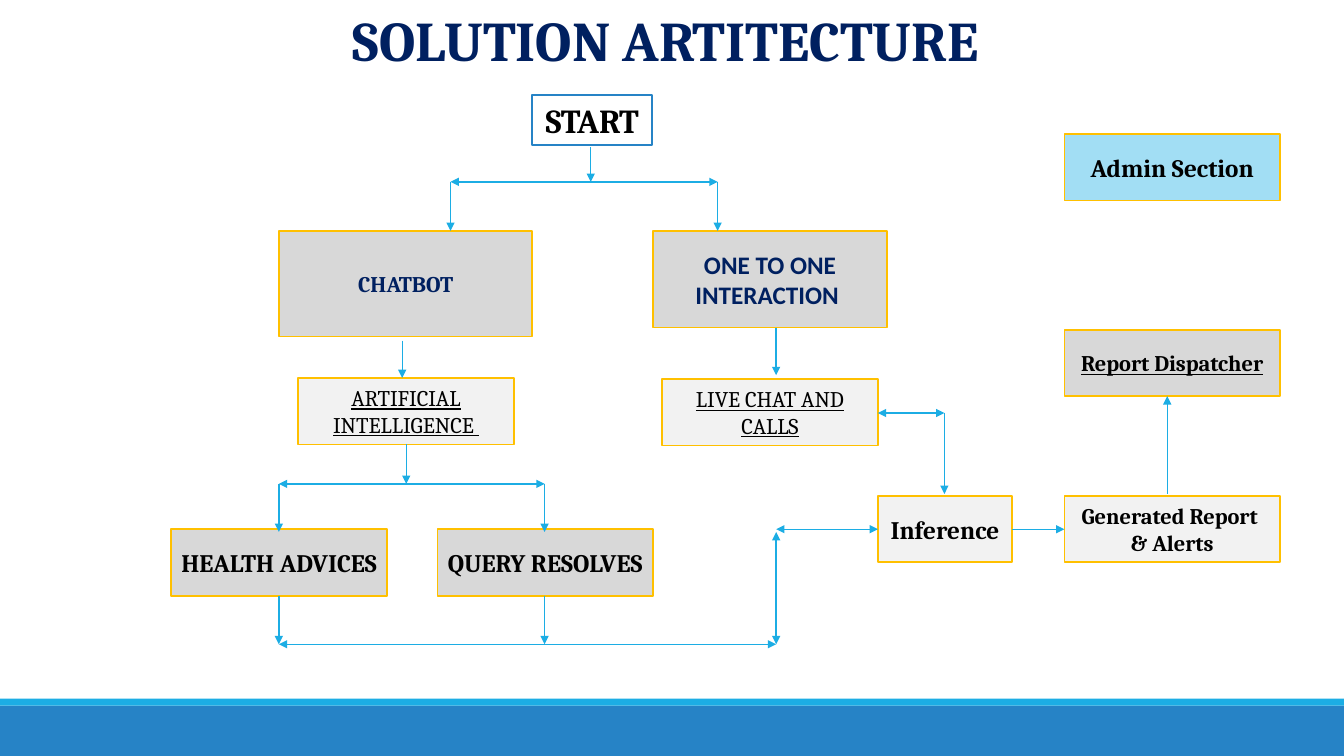
from dataclasses import dataclass

from lxml import etree
from pptx import Presentation
from pptx.dml.color import RGBColor
from pptx.enum.shapes import MSO_CONNECTOR, MSO_SHAPE
from pptx.enum.text import MSO_ANCHOR, MSO_AUTO_SIZE, PP_ALIGN
from pptx.oxml.ns import qn
from pptx.slide import Slide
from pptx.text.text import TextFrame
from pptx.util import Pt

RECTANGLE = MSO_SHAPE.RECTANGLE
STRAIGHT = MSO_CONNECTOR.STRAIGHT
CENTER = PP_ALIGN.CENTER
MIDDLE, TOP = MSO_ANCHOR.MIDDLE, MSO_ANCHOR.TOP
NO_AUTOFIT = MSO_AUTO_SIZE.NONE


@dataclass(frozen=True)
class Theme:
    navy: str = "002060"
    black: str = "000000"
    white: str = "FFFFFF"
    blue: str = "2683C6"
    cyan: str = "1CADE4"
    pale_cyan: str = "A2DEF4"
    gold: str = "FFC000"
    gray: str = "D8D8D8"
    light_gray: str = "F2F2F2"
    serif: str = "Cambria"
    sans: str = "Calibri"
    title_size: float = 40
    start_size: float = 24
    large_size: float = 18
    small_size: float = 16
    border_width: float = 1.25
    arrow_width: float = 1


THEME = Theme()


@dataclass(frozen=True)
class TextStyle:
    size: float
    color: str = THEME.black
    font: str = THEME.serif
    bold: bool = True
    underline: bool = False


@dataclass(frozen=True)
class Step:
    text: str
    left: float
    top: float
    fill: str
    style: TextStyle
    width: float = 154
    height: float = 47.5
    border: str = THEME.gold


@dataclass(frozen=True)
class Arrow:
    x1: float
    y1: float
    x2: float
    y2: float
    both_ends: bool = False


# Text styles
TITLE = TextStyle(THEME.title_size, THEME.navy)
START = TextStyle(THEME.start_size)
LARGE = TextStyle(THEME.large_size)
SMALL = TextStyle(THEME.small_size)
CHATBOT = TextStyle(THEME.small_size, THEME.navy)
ONE_TO_ONE = TextStyle(THEME.large_size, THEME.navy, THEME.sans)
CHANNEL = TextStyle(THEME.small_size, bold=False, underline=True)
DISPATCHER = TextStyle(THEME.small_size, underline=True)

# Shared positions
SLIDE_WIDTH, SLIDE_HEIGHT = 960, 540
REPORT_LEFT = 760.3
BRANCH_TOP = 165
OUTCOME_TOP = 378
INFERENCE_TOP = 354.2
CHATBOT_X, ONE_TO_ONE_X = 321.8, 512.6
HEALTH_X, QUERY_X = 199.2, 389
LIVE_X = 554.4
INFERENCE_X = 674.6
SPLIT_Y, AI_SPLIT_Y, MERGE_Y = 129.9, 345.6, 460.2

STEPS = [
    Step("START", 380.2, 67.7, THEME.white, START, 85.7, 36, THEME.blue),
    Step("CHATBOT", 199.4, BRANCH_TOP, THEME.gray, CHATBOT, 180.9, 75.4),
    Step("ONE TO ONE INTERACTION ", 466.5, BRANCH_TOP, THEME.gray, ONE_TO_ONE, 167, 69),
    Step("ARTIFICIAL INTELLIGENCE ", 213, 270, THEME.light_gray, CHANNEL),
    Step("LIVE CHAT AND CALLS", 473, 270.8, THEME.light_gray, CHANNEL),
    Step("HEALTH ADVICES", 122.4, OUTCOME_TOP, THEME.gray, LARGE),
    Step("QUERY RESOLVES", 312.5, OUTCOME_TOP, THEME.gray, LARGE),
    Step("Inference", 627.1, INFERENCE_TOP, THEME.light_gray, LARGE, 95.8),
    Step("Generated Report \n& Alerts", REPORT_LEFT, INFERENCE_TOP, THEME.light_gray, SMALL),
    Step("Report Dispatcher", REPORT_LEFT, 235.5, THEME.gray, DISPATCHER),
    Step("Admin Section", REPORT_LEFT, 95.8, THEME.pale_cyan, LARGE),
]

ARROWS = [
    # Start to the two branches
    Arrow(422, 105.1, 422, SPLIT_Y),
    Arrow(CHATBOT_X, SPLIT_Y, ONE_TO_ONE_X, SPLIT_Y, True),
    *[Arrow(x, SPLIT_Y, x, BRANCH_TOP) for x in (CHATBOT_X, ONE_TO_ONE_X)],
    # Chatbot to its outcomes
    Arrow(287.3, 243.4, 287.3, 270),
    Arrow(290.2, 317.5, 290.2, AI_SPLIT_Y),
    Arrow(HEALTH_X, AI_SPLIT_Y, QUERY_X, AI_SPLIT_Y, True),
    *[Arrow(x, AI_SPLIT_Y, x, 380) for x in (HEALTH_X, QUERY_X)],
    # Outcomes to inference
    *[Arrow(x, 426, x, MERGE_Y) for x in (HEALTH_X, QUERY_X)],
    Arrow(HEALTH_X, MERGE_Y, LIVE_X, MERGE_Y, True),
    Arrow(LIVE_X, 380, LIVE_X, MERGE_Y, True),
    Arrow(LIVE_X, OUTCOME_TOP, 627.1, OUTCOME_TOP, True),
    # Live chat to inference
    Arrow(LIVE_X, 234, LIVE_X, 268),
    Arrow(627.1, 295, INFERENCE_X, 295, True),
    Arrow(INFERENCE_X, 295, INFERENCE_X, 352.8),
    # Inference to the reports
    Arrow(722.9, OUTCOME_TOP, REPORT_LEFT, OUTCOME_TOP),
    Arrow(833.8, 352.8, 833.8, 283),
]


def rgb(color: str) -> RGBColor:
    return RGBColor.from_string(color)


def write_text(frame: TextFrame, text: str, style: TextStyle, anchor: MSO_ANCHOR) -> None:
    frame.text = text
    frame.word_wrap = True
    frame.auto_size = NO_AUTOFIT
    frame.vertical_anchor = anchor
    for paragraph in frame.paragraphs:
        paragraph.alignment = CENTER
        for run in paragraph.runs:
            run.font.name = style.font
            run.font.size = Pt(style.size)
            run.font.bold = style.bold
            run.font.underline = style.underline
            run.font.color.rgb = rgb(style.color)


def add_footer_bar(slide: Slide, top: float, height: float, color: str) -> None:
    bar = slide.shapes.add_shape(RECTANGLE, 0, Pt(top), Pt(SLIDE_WIDTH), Pt(height))
    bar.shadow.inherit = False
    bar.fill.solid()
    bar.fill.fore_color.rgb = rgb(color)
    bar.line.fill.background()


def add_step(slide: Slide, step: Step) -> None:
    box = slide.shapes.add_shape(
        RECTANGLE, Pt(step.left), Pt(step.top), Pt(step.width), Pt(step.height))
    box.shadow.inherit = False
    box.fill.solid()
    box.fill.fore_color.rgb = rgb(step.fill)
    box.line.color.rgb = rgb(step.border)
    box.line.width = Pt(THEME.border_width)
    write_text(box.text_frame, step.text, step.style, MIDDLE)


def add_arrow(slide: Slide, arrow: Arrow) -> None:
    connector = slide.shapes.add_connector(
        STRAIGHT, Pt(arrow.x1), Pt(arrow.y1), Pt(arrow.x2), Pt(arrow.y2))
    connector.line.color.rgb = rgb(THEME.cyan)
    connector.line.width = Pt(THEME.arrow_width)
    properties = connector.element.spPr
    line = properties.find(qn("a:ln"))
    for end in ("a:headEnd", "a:tailEnd") if arrow.both_ends else ("a:tailEnd",):
        etree.SubElement(line, qn(end), type="triangle")
    etree.SubElement(properties, qn("a:effectLst"))


def main() -> None:
    presentation = Presentation()
    presentation.slide_width = Pt(SLIDE_WIDTH)
    presentation.slide_height = Pt(SLIDE_HEIGHT)
    slide = presentation.slides.add_slide(presentation.slide_layouts.get_by_name("Title Only"))

    # Footer bars
    add_footer_bar(slide, 504, 36, THEME.blue)
    add_footer_bar(slide, 499, 5, THEME.cyan)

    # Title
    title = slide.shapes.title
    title.left, title.top = Pt(0), Pt(0)
    title.width, title.height = Pt(SLIDE_WIDTH), Pt(55.4)
    write_text(title.text_frame, "SOLUTION ARTITECTURE ", TITLE, TOP)

    # Flowchart
    for step in STEPS:
        add_step(slide, step)
    for arrow in ARROWS:
        add_arrow(slide, arrow)

    presentation.save("out.pptx")


if __name__ == "__main__":
    main()
